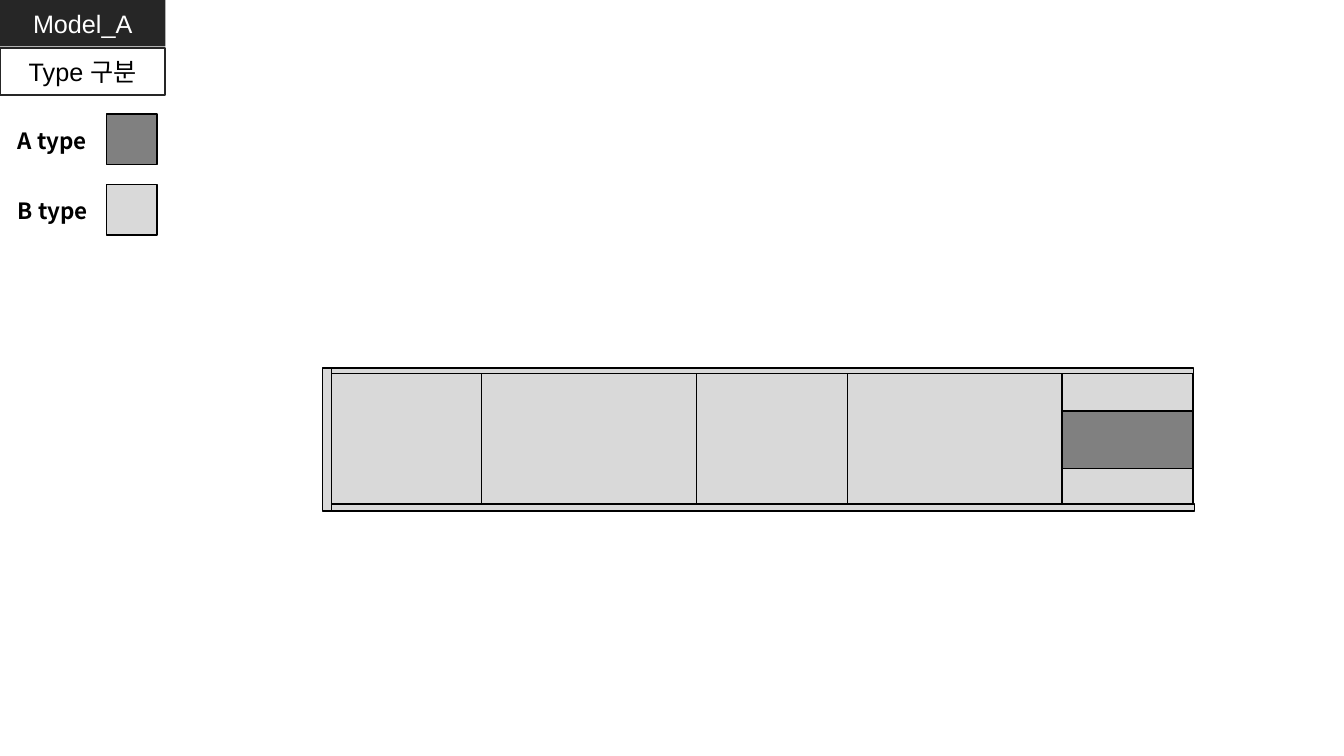
import itertools

import pptx
import pptx.dml.color
import pptx.enum.shapes
import pptx.enum.text
import pptx.util

Cm = pptx.util.Cm
Pt = pptx.util.Pt

COLORS = {
    "header": "262626",
    "white": "FFFFFF",
    "black": "000000",
    "A": "808080",
    "B": "D9D9D9",
}
HEADER_TEXT = "Model_A"
SUBHEADER_TEXT = "Type 구분"
LEGEND = [("A type", "A"), ("B type", "B")]
DOOR_WIDTHS = [3.81, 5.41, 3.81, 5.41]
DRAWERS = [(0.94, "B"), (1.45, "A"), (1.06, "B")]

HEADER_WIDTH, HEADER_HEIGHT = 4.17, 1.17
SUBHEADER_TOP = 1.22
LEGEND_TOP, LEGEND_PITCH = 2.87, 1.78
SWATCH_LEFT, SWATCH_SIZE = 2.69, 1.27
CABINET_LEFT, CABINET_TOP = 8.33, 9.42
CABINET_HEIGHT = sum(height for height, _ in DRAWERS)
DRAWER_WIDTH = 3.3
TOP_RAIL = (8.26, 9.27, 21.82, 0.23)
BOTTOM_RAIL = (8.18, 12.7, 21.92, 0.18)
SIDE_PANEL = (8.13, 9.27, 0.23, 3.61)


def color(name):
    return pptx.dml.color.RGBColor.from_string(COLORS[name])


def place(shape, left, top, width, height):
    shape.left, shape.top = Cm(left), Cm(top)
    shape.width, shape.height = Cm(width), Cm(height)


def fill(shape, name):
    shape.fill.solid()
    shape.fill.fore_color.rgb = color(name)


def add_box(box, fill_name, line_name="black", line_width=1):
    shape = slide.shapes.add_shape(
        pptx.enum.shapes.MSO_SHAPE.RECTANGLE, *map(Cm, box))
    shape.shadow.inherit = False
    fill(shape, fill_name)
    shape.line.color.rgb = color(line_name)
    shape.line.width = Pt(line_width)
    return shape


def write(shape, text, size, font_name, color_name, bold=False, centered=True):
    frame = shape.text_frame
    frame.text = text
    frame.word_wrap = True
    frame.auto_size = pptx.enum.text.MSO_AUTO_SIZE.NONE
    paragraph = frame.paragraphs[0]
    paragraph.font.size = Pt(size)
    paragraph.font.name = font_name
    paragraph.font.bold = bold
    paragraph.font.color.rgb = color(color_name)
    if centered:
        paragraph.alignment = pptx.enum.text.PP_ALIGN.CENTER
        frame.vertical_anchor = pptx.enum.text.MSO_ANCHOR.MIDDLE


presentation = pptx.Presentation()
presentation.slide_width, presentation.slide_height = Cm(33.87), Cm(19.05)
slide = presentation.slides.add_slide(
    presentation.slide_layouts.get_by_name("Title Only"))

title = slide.shapes.title
place(title, 0, 0, HEADER_WIDTH, HEADER_HEIGHT)
fill(title, "header")
write(title, HEADER_TEXT, 18, "Arial", "white")

subheader = add_box((0, SUBHEADER_TOP, HEADER_WIDTH, HEADER_HEIGHT),
                    "white", "header", 1.5)
write(subheader, SUBHEADER_TEXT, 18, "Arial", "black")

for index, (name, kind) in enumerate(LEGEND):
    top = LEGEND_TOP + index * LEGEND_PITCH
    add_box((SWATCH_LEFT, top, SWATCH_SIZE, SWATCH_SIZE), kind)
    label = slide.shapes.add_textbox(Cm(0.2), Cm(top + 0.2), Cm(2.72), Cm(0.94))
    write(label, name, 16, "Noto Sans CJK KR", "black", bold=True, centered=False)

add_box(TOP_RAIL, "B")

door_edges = list(itertools.accumulate(DOOR_WIDTHS, initial=CABINET_LEFT))
for left, width in zip(door_edges, DOOR_WIDTHS):
    add_box((left, CABINET_TOP, width, CABINET_HEIGHT), "B")

drawer_top = CABINET_TOP
for height, kind in DRAWERS:
    add_box((door_edges[-1], drawer_top, DRAWER_WIDTH, height), kind)
    drawer_top += height

for panel in (BOTTOM_RAIL, SIDE_PANEL):
    add_box(panel, "B")

presentation.save("out.pptx")
